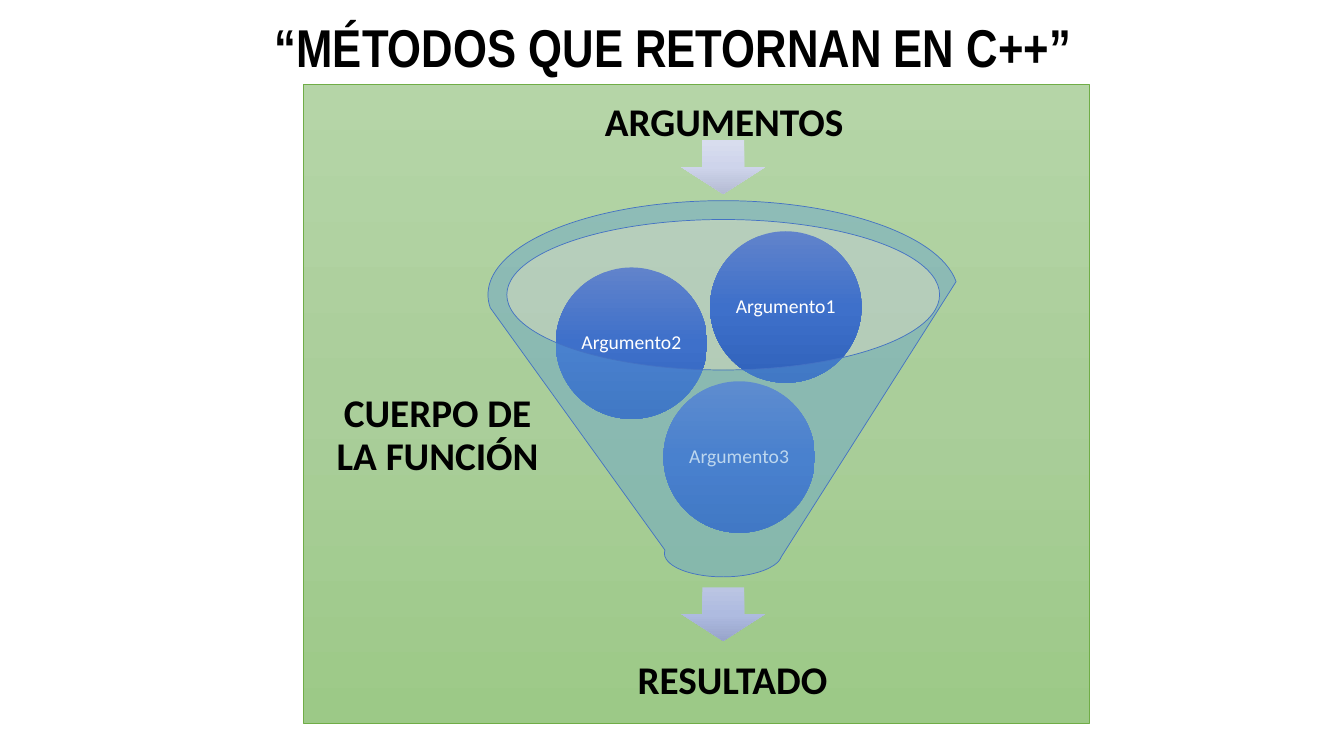
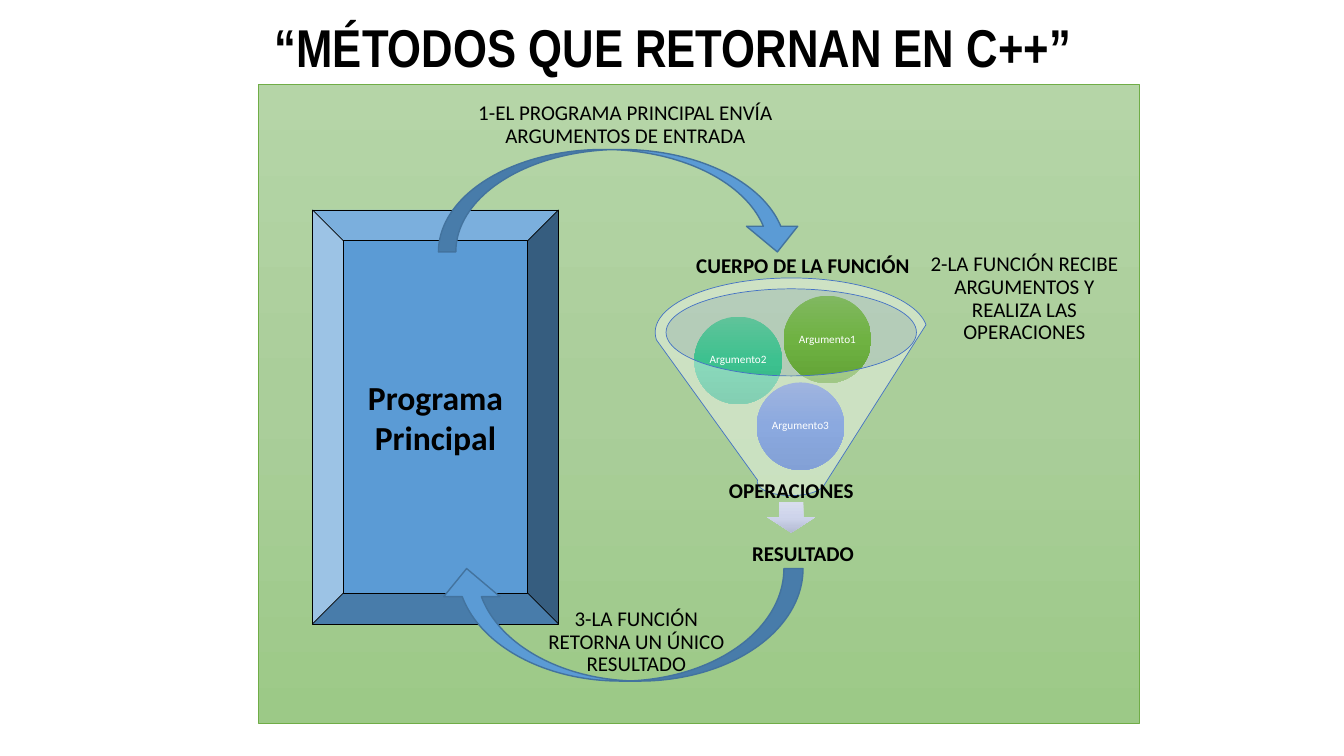
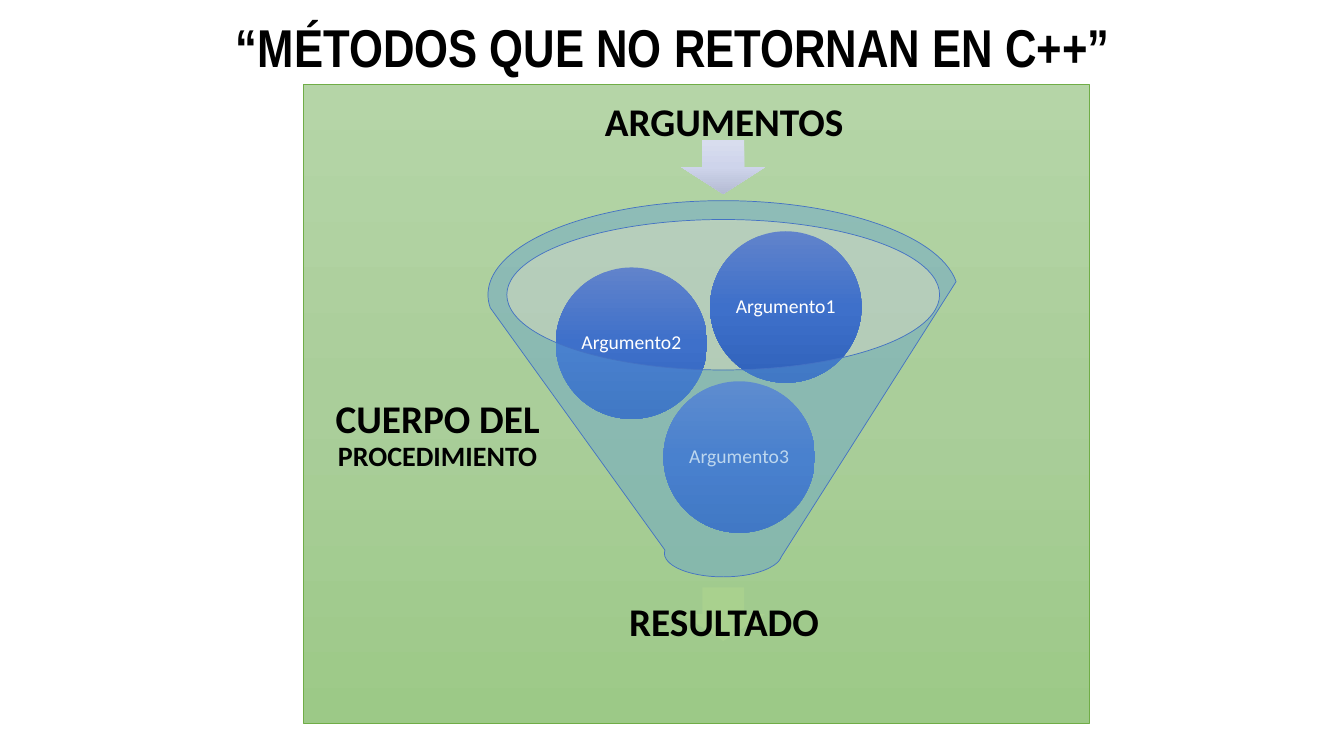
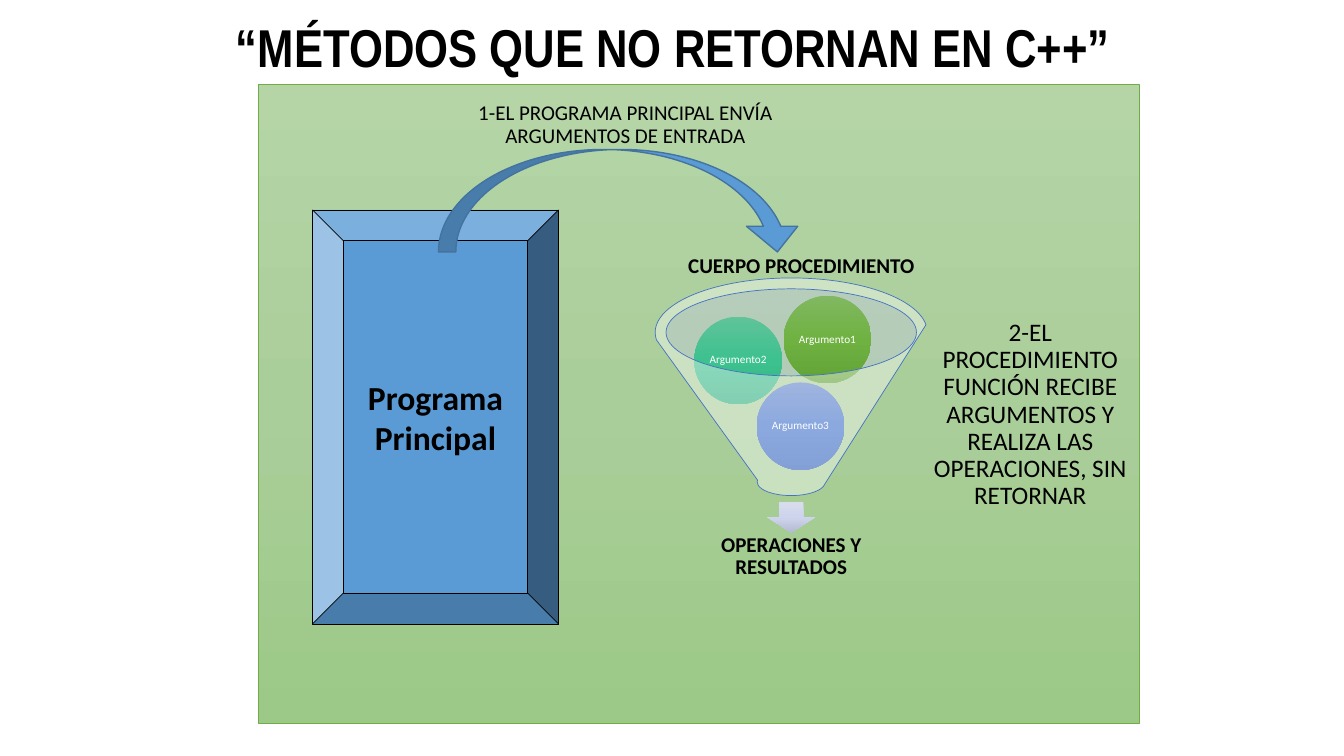
from dataclasses import dataclass
from typing import Any, NamedTuple

import pptx
import pptx.dml.color
import pptx.enum.shapes
import pptx.enum.text
import pptx.oxml
import pptx.oxml.ns
import pptx.util

RGB = pptx.dml.color.RGBColor
SHAPE = pptx.enum.shapes.MSO_SHAPE

# Slide and grid: 160 columns by 90 rows of square cells
WIDTH = pptx.util.Inches(13.33)
HEIGHT = pptx.util.Inches(7.5)
CELL = WIDTH / 160

# Fonts and colours
TITLE_FONT = "Arial Narrow"
BODY_FONT = "Calibri"
BLACK = RGB(0x00, 0x00, 0x00)
WHITE = RGB(0xFF, 0xFF, 0xFF)
SKY = RGB(0x5B, 0x9B, 0xD5)
SKY_EDGE = RGB(0x43, 0x73, 0x9E)
FUNNEL_EDGE = RGB(0x44, 0x72, 0xC4)
MOUTH = RGB(0xC1, 0xC9, 0xE4)
PANEL_EDGE = RGB(0x70, 0xAD, 0x47)
PALE_GREEN = RGB(0xA9, 0xD1, 0x8E)

# Vertical gradients: top, middle, bottom
Gradient = tuple[RGB, RGB, RGB]
PANEL_GREEN: Gradient = (RGB(0xB5, 0xD5, 0xA7), RGB(0xAA, 0xCE, 0x9A), RGB(0x9C, 0xC9, 0x87))
BLUE: Gradient = (RGB(0x61, 0x83, 0xCB), RGB(0x3E, 0x70, 0xCA), RGB(0x30, 0x62, 0xBB))
TEAL: Gradient = (RGB(0x60, 0xC3, 0x9A), RGB(0x3D, 0xC1, 0x8F), RGB(0x31, 0xB0, 0x80))
LEAF: Gradient = (RGB(0x81, 0xB8, 0x61), RGB(0x6F, 0xB2, 0x42), RGB(0x62, 0xA3, 0x36))
LAVENDER: Gradient = (RGB(0xBB, 0xC5, 0xE3), RGB(0xAE, 0xBB, 0xE0), RGB(0x98, 0xA4, 0xCB))
MIST: Gradient = (RGB(0xD8, 0xDD, 0xEE), RGB(0xCE, 0xD4, 0xEB), RGB(0xB4, 0xBB, 0xD3))
Paint = RGB | Gradient


class Box(NamedTuple):
    """Place and size in columns and rows of the grid."""
    col: float
    row: float
    cols: float
    rows: float

    def emu(self) -> list[int]:
        return [round(length * CELL) for length in self]


@dataclass(frozen=True)
class Label:
    text: str
    box: Box
    size: float
    bold: bool = False
    tail: str = ""
    tail_size: float = 0


@dataclass(frozen=True)
class Funnel:
    col: float
    row: float
    cols: float
    paint: RGB
    outlet: Paint
    balls: tuple[Paint, Paint, Paint]
    text_size: float

    def box(self, x: float, y: float, width: float, height: float) -> Box:
        """Box of a piece given in percent of the funnel's width."""
        unit = self.cols / 100
        return Box(self.col + x * unit, self.row + y * unit, width * unit, height * unit)


# Shared places
TITLE_BOX = Box(13, 0, 134.3, 12)
NARROW_PANEL = Box(36.1, 10.1, 93.6, 76)
WIDE_PANEL = Box(30.8, 10.1, 104.8, 76)
INLET_BOX = Box(81.1, 16.7, 10, 6.4)
PROGRAM_BOX = Box(37.2, 25, 29.3, 49.3)
SEND_BOX = Box(52.2, 17.8, 43.4, 12.2)
RETURN_BOX = Box(52.2, 67.7, 43.4, 13.4)
BODY_BOX = Box(37.3, 48.1, 29.6, 7.7)

# Offset of each argument inside the funnel, in percent of its width
BALL_SIZE = 32.2
BALL_PLACES = {3: (37.3, 38.4), 2: (14.4, 14.2), 1: (47.2, 6.5)}

INPUT_LABEL = Label("ARGUMENTOS", Box(66.7, 12.7, 39, 4), 28, True)
SEND_LABEL = Label("1-EL PROGRAMA PRINCIPAL ENVÍA ARGUMENTOS DE ENTRADA",
                   Box(53.2, 12, 42.5, 5.8), 15)


def paint_shape(shape: Any, paint: Paint, opacity: int = 100) -> None:
    """Fill with a colour, translucent if asked, or a vertical gradient."""
    properties = shape._element.spPr
    if isinstance(paint, RGB):
        shape.fill.solid()
        shape.fill.fore_color.rgb = paint
        if opacity < 100:
            colour = properties.find(pptx.oxml.ns.qn("a:solidFill"))[0]
            alpha = pptx.oxml.parse_xml(
                f'<a:alpha {pptx.oxml.ns.nsdecls("a")} val="{opacity * 1000}"/>')
            colour.append(alpha)
        return
    stops = "".join(f'<a:gs pos="{i * 50000}"><a:srgbClr val="{colour}"/></a:gs>'
                    for i, colour in enumerate(paint))
    shape.fill.background()
    properties.replace(
        properties.find(pptx.oxml.ns.qn("a:noFill")),
        pptx.oxml.parse_xml(f'<a:gradFill {pptx.oxml.ns.nsdecls("a")} rotWithShape="1">'
                            f'<a:gsLst>{stops}</a:gsLst>'
                            '<a:lin ang="5400000" scaled="0"/></a:gradFill>'))


def add_piece(shapes: Any, kind: Any, box: Box, paint: Paint, edge: RGB | None = None,
              edge_width: float = 0.5, opacity: int = 100) -> Any:
    shape = shapes.add_shape(kind, *box.emu())
    shape.shadow.inherit = False
    paint_shape(shape, paint, opacity)
    if edge is None:
        shape.line.fill.background()
    else:
        shape.line.color.rgb = edge
        shape.line.width = pptx.util.Pt(edge_width)
    return shape


def set_font(font: Any, name: str, size: float, colour: RGB, bold: bool) -> None:
    font.name = name
    font.size = pptx.util.Pt(size)
    font.bold = bold
    font.color.rgb = colour


def write(shape: Any, text: str, size: float, font: str = BODY_FONT, colour: RGB = BLACK,
          bold: bool = False, spacing: float = 0.9, inset: float | None = None,
          wrap: bool = True) -> None:
    frame = shape.text_frame
    frame.text = text
    frame.word_wrap = wrap
    frame.vertical_anchor = pptx.enum.text.MSO_ANCHOR.MIDDLE
    if inset is not None:
        margin = pptx.util.Inches(inset)
        frame.margin_left = frame.margin_right = margin
        frame.margin_top = frame.margin_bottom = margin
    for paragraph in frame.paragraphs:
        paragraph.alignment = pptx.enum.text.PP_ALIGN.CENTER
        paragraph.line_spacing = spacing
        for run in paragraph.runs:
            set_font(run.font, font, size, colour, bold)


def add_label(slide: Any, label: Label) -> None:
    caption = slide.shapes.add_textbox(*label.box.emu())
    write(caption, label.text, label.size, bold=label.bold, inset=0.12)
    if label.tail:
        tail = caption.text_frame.paragraphs[0].add_run()
        tail.text = label.tail
        set_font(tail.font, BODY_FONT, label.tail_size, BLACK, label.bold)


def add_funnel(slide: Any, funnel: Funnel) -> None:
    """Mouth, outlet arrow and arguments, seen through the funnel wall."""
    pieces = slide.shapes.add_group_shape().shapes
    add_piece(pieces, SHAPE.OVAL, funnel.box(4, 4, 92, 31.9), MOUTH, opacity=40)
    add_piece(pieces, SHAPE.DOWN_ARROW, funnel.box(41.1, 82.2, 17.8, 11.4), funnel.outlet)
    for number, (x, y) in BALL_PLACES.items():
        ball = add_piece(pieces, SHAPE.OVAL, funnel.box(x, y, BALL_SIZE, BALL_SIZE),
                         funnel.balls[number - 1])
        write(ball, f"Argumento{number}", funnel.text_size, colour=WHITE, inset=0.02, wrap=False)
    add_piece(pieces, SHAPE.FUNNEL, funnel.box(0, 0, 100, 80), funnel.paint, FUNNEL_EDGE,
              opacity=40)


def add_curved_arrow(slide: Any, box: Box, rotation: float = 0) -> None:
    arrow = add_piece(slide.shapes, SHAPE.CURVED_DOWN_ARROW, box, SKY, SKY_EDGE, 1)
    arrow.adjustments[0] = 0.17
    arrow.rotation = rotation


def add_base(deck: Any, title: str, panel: Box) -> Any:
    """New slide with its green panel and title."""
    slide = deck.slides.add_slide(deck.slide_layouts[6])
    add_piece(slide.shapes, SHAPE.RECTANGLE, panel, PANEL_GREEN, PANEL_EDGE)
    heading = slide.shapes.add_textbox(*TITLE_BOX.emu())
    write(heading, title, 38, TITLE_FONT, bold=True)
    return slide


def add_concept_slide(deck: Any, title: str, outlet: Paint, labels: list[Label]) -> None:
    """Large funnel: arguments go in, a result comes out."""
    slide = add_base(deck, title, NARROW_PANEL)
    add_funnel(slide, Funnel(58.1, 23.9, 56, SKY, outlet, (BLUE, BLUE, BLUE), 14))
    add_piece(slide.shapes, SHAPE.DOWN_ARROW, INLET_BOX, MIST)
    for label in [INPUT_LABEL, *labels]:
        add_label(slide, label)


def add_flow_slide(deck: Any, title: str, returns: bool, labels: list[Label]) -> None:
    """Main program that calls a small funnel."""
    slide = add_base(deck, title, WIDE_PANEL)
    add_funnel(slide, Funnel(78, 33.1, 32.4, WHITE, MIST, (LEAF, TEAL, BLUE), 8))
    program = add_piece(slide.shapes, SHAPE.BEVEL, PROGRAM_BOX, SKY, BLACK)
    write(program, "Programa\nPrincipal", 24, bold=True, spacing=1.0)
    add_curved_arrow(slide, SEND_BOX)
    if returns:
        add_curved_arrow(slide, RETURN_BOX, 180)
    for label in [SEND_LABEL, *labels]:
        add_label(slide, label)


def main() -> None:
    deck = pptx.Presentation()
    deck.slide_width = WIDTH
    deck.slide_height = HEIGHT
    returning = "“MÉTODOS QUE RETORNAN EN C++”"
    not_returning = "“MÉTODOS QUE NO RETORNAN EN C++”"

    # Methods that return
    add_concept_slide(deck, returning, LAVENDER, [
        Label("CUERPO DE LA FUNCIÓN", BODY_BOX, 28, True),
        Label("RESULTADO", Box(72.4, 77.3, 29.6, 7.7), 28, True),
    ])
    add_flow_slide(deck, returning, True, [
        Label("CUERPO DE LA FUNCIÓN", Box(80.8, 31.4, 29.6, 0.8), 15, True),
        Label("2-LA FUNCIÓN RECIBE ARGUMENTOS Y REALIZA LAS OPERACIONES",
              Box(108.4, 29.3, 27.1, 12.6), 15),
        Label("3-LA FUNCIÓN RETORNA UN ÚNICO RESULTADO", Box(62.2, 73.6, 27.1, 5.8), 15),
        Label("RESULTADO", Box(80.8, 65.6, 29.6, 0.8), 15, True),
        Label("OPERACIONES", Box(79.4, 58.2, 29.6, 0.8), 15, True),
    ])

    # Methods that do not return
    add_concept_slide(deck, not_returning, PALE_GREEN, [
        Label("CUERPO DEL ", BODY_BOX, 28, True, "PROCEDIMIENTO", 20),
        Label("RESULTADO", Box(71.4, 70.4, 29.6, 7.7), 28, True),
    ])
    add_flow_slide(deck, not_returning, False, [
        Label("CUERPO PROCEDIMIENTO", Box(79, 30.5, 32.8, 2.5), 15, True),
        Label("2-EL PROCEDIMIENTO FUNCIÓN RECIBE ARGUMENTOS Y REALIZA LAS "
              "OPERACIONES, SIN RETORNAR", Box(109.1, 43.1, 27.1, 12.6), 18),
        Label("OPERACIONES Y RESULTADOS", Box(79.4, 65.9, 29.6, 0.8), 15, True),
    ])
    deck.save("out.pptx")


if __name__ == "__main__":
    main()
